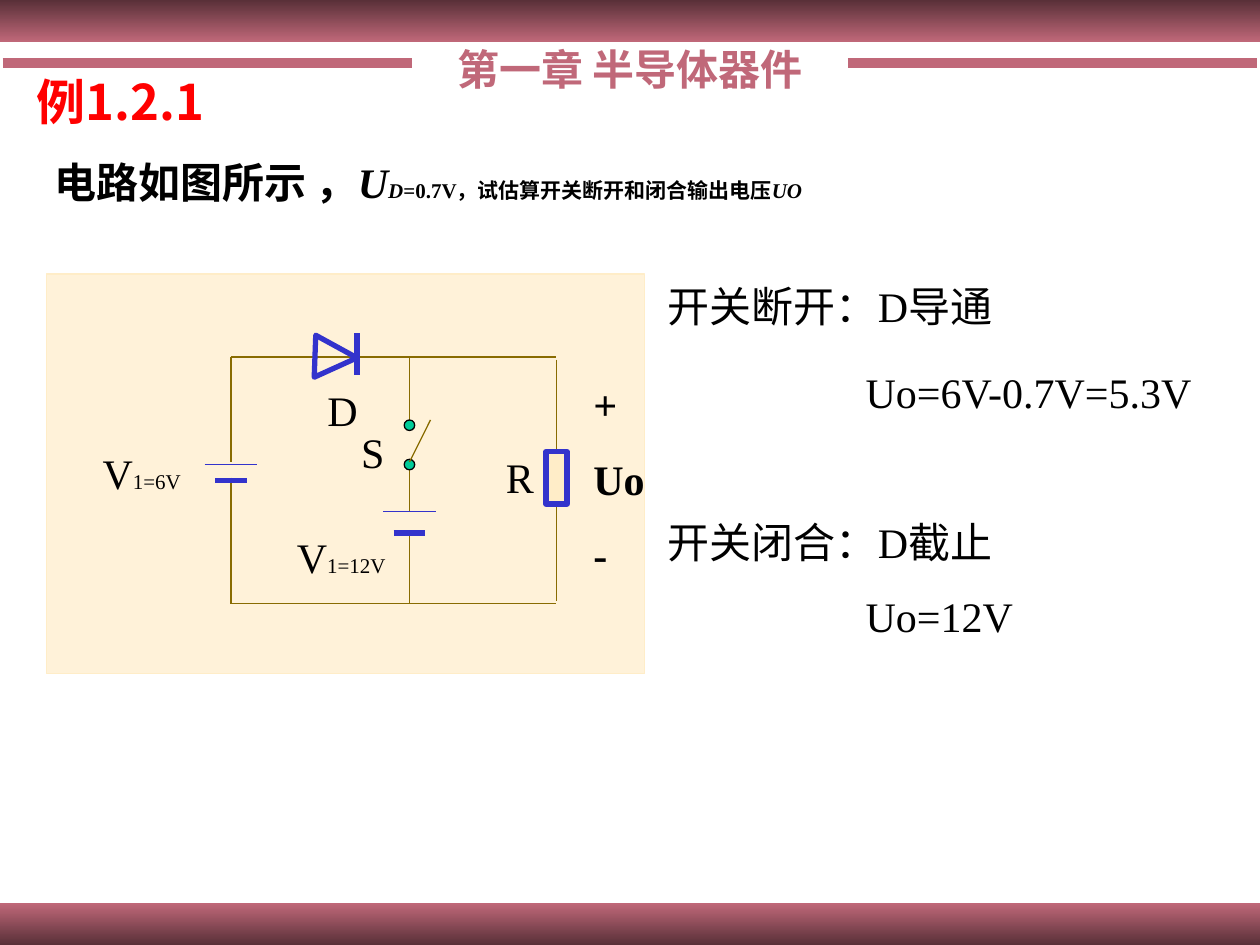
from lxml import etree
from pptx import Presentation
from pptx.dml.color import RGBColor
from pptx.enum.shapes import MSO_CONNECTOR, MSO_SHAPE
from pptx.enum.text import MSO_ANCHOR, PP_ALIGN
from pptx.oxml.ns import qn
from pptx.util import Pt

LEFT, CENTER = PP_ALIGN.LEFT, PP_ALIGN.CENTER
TOP, MIDDLE = MSO_ANCHOR.TOP, MSO_ANCHOR.MIDDLE
RECT, OVAL = MSO_SHAPE.RECTANGLE, MSO_SHAPE.OVAL
TRIANGLE, STRAIGHT = MSO_SHAPE.ISOSCELES_TRIANGLE, MSO_CONNECTOR.STRAIGHT
SERIF, SANS, HEAD = "Times New Roman", "Noto Sans CJK SC", "Noto Sans CJK JP"
ROSE, DARK, BLUE, WIRE = "C06879", "593038", "3333CC", "896C01"
rgb = RGBColor.from_string

prs = Presentation()
prs.slide_width, prs.slide_height = Pt(720), Pt(540)
slide = prs.slides.add_slide(prs.slide_layouts[6])
shapes = slide.shapes


def line(x1, y1, x2, y2, color=WIRE, width=0.75):
    wire = shapes.add_connector(STRAIGHT, Pt(x1), Pt(y1), Pt(x2), Pt(y2))
    wire.line.color.rgb = rgb(color)
    wire.line.width = Pt(width)
    etree.SubElement(wire._element.spPr, qn("a:effectLst"))


def text(x, y, w, h, paras, size=24, color="000000", bold=False, face=SERIF,
         align=LEFT, anchor=TOP, wrap=True, gap=0):
    """Each paragraph is a list of runs: (words, size, italic)."""
    box = shapes.add_textbox(Pt(x), Pt(y), Pt(w), Pt(h))
    frame = box.text_frame
    frame.word_wrap, frame.vertical_anchor = wrap, anchor
    for i, runs in enumerate(paras):
        para = frame.paragraphs[0] if i == 0 else frame.add_paragraph()
        para.alignment = align
        if i:
            para.space_before = Pt(gap)
        font = para.font
        font.name, font.size, font.bold = face, Pt(size), bold
        font.color.rgb = rgb(color)
        for words, small, slant in runs:
            run = para.add_run()
            run.text = words
            if small:
                run.font.size = Pt(small)
            if slant:
                run.font.italic = True
    return box


# Bands at the top and bottom
for y, start, end in ((0, DARK, ROSE), (516, ROSE, DARK)):
    band = shapes.add_shape(RECT, 0, Pt(y), Pt(720), Pt(24))
    band.shadow.inherit = False
    band.line.fill.background()
    band.fill.gradient()
    band.fill.gradient_angle = 270
    for stop, color in zip(band.fill.gradient_stops, (start, end)):
        stop.color.rgb = rgb(color)

# Chapter heading between two rules
for x in (1.5, 484.5):
    line(x, 36, x + 234, 36, ROSE, 6)
text(240, 24, 240, 30, [[("第一章 半导体器件", None, False)]], color=ROSE,
     bold=True, face=HEAD, align=CENTER, anchor=MIDDLE, wrap=False)

# Example title and question
title = text(0, 37.5, 162, 41, [[("例1.2.1", None, False)]], size=28,
             color="FF0000", bold=True, face=SANS)
title.text_frame.margin_left = Pt(21)
task = text(24, 84, 678, 54, [[
    ("电路如图所示 ，", None, False), ("U", None, True), ("D", 12, True),
    ("=0.7V，试估算开关断开和闭合输出电压", 12, False), ("UO", 12, True)]],
    bold=True, anchor=MIDDLE, wrap=False)
task.line.color.rgb = rgb("FFFFFF")
task.text_frame.margin_bottom = Pt(17.5)

# Circuit panel
panel = shapes.add_shape(RECT, Pt(26.5), Pt(156.5), Pt(342), Pt(228.5))

# Wires: left, middle and right branches, then top and bottom
left, mid, right, top, base = 132, 234, 318, 204, 345
for x, y1, y2 in ((left, top, 264), (left, 273, base), (right, 205.5, 343.5),
                  (mid, top, 246), (mid, 263, 292.5), (mid, 303, base)):
    line(x, y1, x, y2)
for y in (top, base):
    line(left, y, right, y)

# Battery plates: thin long, thick short
for x, y1, y2 in ((left, 265.5, 274.5), (mid, 292.5, 304.5)):
    line(x - 15, y1, x + 15, y1, BLUE)
    line(x - 9, y2, x + 9, y2, BLUE, 3)

# Resistor, diode and switch contacts
load = shapes.add_shape(RECT, Pt(312), Pt(258), Pt(12), Pt(30))
diode = shapes.add_shape(TRIANGLE, Pt(180), Pt(192), Pt(24), Pt(24))
diode.rotation = 92.1
diode._element.spPr.xfrm.set("flipH", "1")
line(204, 190.5, 204, 214.5, BLUE, 3)
dots = [shapes.add_shape(OVAL, Pt(mid - 3), Pt(y), Pt(6), Pt(6))
        for y in (240, 262.5)]
line(246, 240, mid, 264)

# Fill and outline of the circuit parts
for part, fill, edge, width in (
        (panel, "FFF2D9", "FFEDC8", 0.75), (load, "FFEDC8", BLUE, 3),
        (diode, None, BLUE, 3), (dots[0], "00CC99", "000000", 0.75),
        (dots[1], "00CC99", "000000", 0.75)):
    part.shadow.inherit = False
    if fill:
        part.fill.solid()
        part.fill.fore_color.rgb = rgb(fill)
    else:
        part.fill.background()
    part.line.color.rgb = rgb(edge)
    part.line.width = Pt(width)

# Part labels
for x, y, w, name, value in (
        (36, 246, 90, "V", "1=6V"), (150, 294, 90, "V", "1=12V"),
        (180, 210, 30, "D", ""), (198, 234, 30, "S", ""),
        (282, 248.5, 30, "R", "")):
    runs = [(name, None, False)]
    if value:
        runs.append((value, 12, False))
    text(x, y, w, 48, [runs], align=CENTER, anchor=MIDDLE, wrap=False)
text(332, 213, 49.5, 122.5, [[(word, None, False)] for word in ("+", "Uo", "-")],
     bold=True, gap=14)

# Answers for both switch states
for x, y, w, words in (
        (374.5, 157, 242, "开关断开：D导通"), (487.5, 206, 203, "Uo=6V-0.7V=5.3V"),
        (374.5, 291.5, 242, "开关闭合：D截止"), (487.5, 334, 203, "Uo=12V")):
    text(x, y, w, 36, [[(words, None, False)]])

prs.save("out.pptx")
